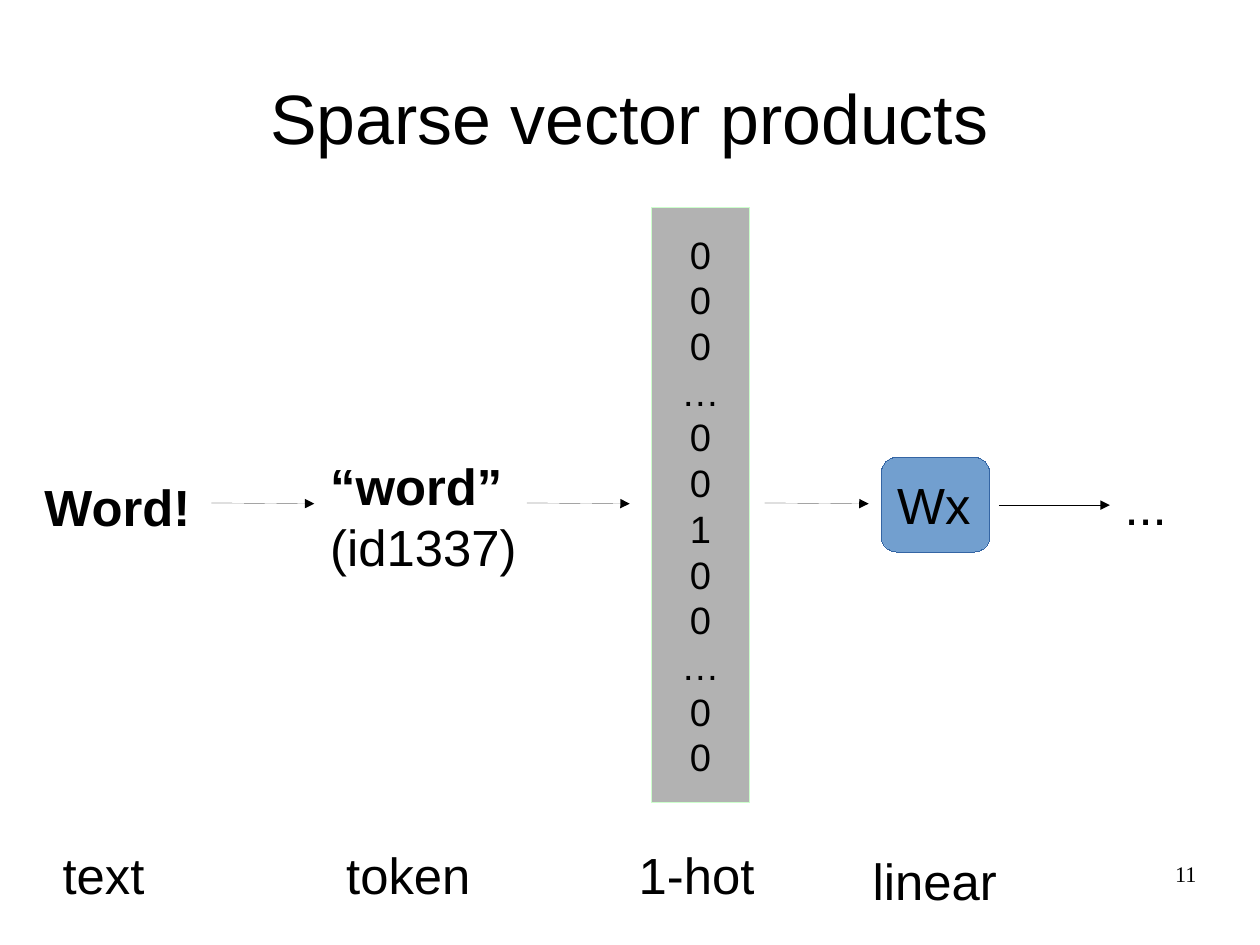
"""Build the slide on sparse vector products: text, token, 1-hot vector, linear layer."""
from dataclasses import dataclass

import pptx
import pptx.dml.color
import pptx.enum.shapes
import pptx.enum.text
import pptx.oxml
import pptx.oxml.ns
import pptx.util

Pt = pptx.util.Pt
ALIGN = pptx.enum.text.PP_ALIGN
ANCHOR = pptx.enum.text.MSO_ANCHOR
SHAPE = pptx.enum.shapes.MSO_SHAPE

SLIDE_SIZE = (793.7, 595.28)
TITLE = "Sparse vector products"
TITLE_PLACE = (39.6, 23.8, 714.2, 99.4)
STEPS = [
    ([("Word!", True)], (20.9, 295.9, 126, 43.2)),
    ([("“word”", True), ("(id1337)", False)], (200.9, 283, 153.4, 79.2)),
    ([("...", False)], (701.3, 295.2, 60.5, 43.2)),
]
ONE_HOT = "0 0 0 … 0 0 1 0 0 … 0 0".split()
ONE_HOT_PLACE = (410.4, 130.7, 61.6, 375.1)
LAYER = "Wx"
LAYER_PLACE = (555.1, 288, 68.4, 59.8)
CAPTIONS = [
    ("text", (32.4, 528.2, 95.8, 49.7), ALIGN.LEFT),
    ("token", (211, 528.2, 95.8, 49.7), ALIGN.LEFT),
    ("1-hot", (395.3, 528.2, 95.8, 49.7), ALIGN.LEFT),
    ("linear", (476.6, 531.4, 224.6, 49.7), ALIGN.CENTER),
]
ARROWS = [
    (133.2, 316.8, 198, 317.3),
    (331.9, 316.8, 396.7, 317.3),
    (481.7, 316.8, 547.2, 317.3),
    (629.3, 318.2, 699.1, 318.2),
]
PAGE_NUMBER = "11"
PAGE_NUMBER_PLACE = (568.8, 542.2, 185, 41)


@dataclass(frozen=True)
class Theme:
    """Colours, fonts, type sizes and line width of the slide."""
    ink: str = "000000"
    vector_fill: str = "B2B2B2"
    vector_line: str = "CCFFCC"
    layer_fill: str = "729FCF"
    layer_line: str = "3465A4"
    font: str = "Arial"
    number_font: str = "Times New Roman"
    title: int = 44
    body: int = 32
    vector: int = 24
    number: int = 14
    leading: float = 1.2
    hairline: float = 0.01


THEME = Theme()


def rgb(code):
    """Return a colour from its hex code."""
    return pptx.dml.color.RGBColor.from_string(code)


def write(frame, lines, size, align=ALIGN.LEFT, anchor=ANCHOR.TOP,
          font=THEME.font, insets=(7.2, 3.6), wrap=True):
    """Fill a text frame with (words, bold) lines, one paragraph each."""
    frame.word_wrap = wrap
    frame.vertical_anchor = anchor
    frame.margin_left = frame.margin_right = Pt(insets[0])
    frame.margin_top = frame.margin_bottom = Pt(insets[1])
    for index, (words, bold) in enumerate(lines):
        paragraph = frame.add_paragraph() if index else frame.paragraphs[0]
        paragraph.alignment = align
        paragraph.line_spacing = Pt(size * THEME.leading)
        paragraph.space_before = Pt(0)
        run = paragraph.add_run()
        run.text = words
        run.font.name = font
        run.font.size = Pt(size)
        run.font.bold = bold
        run.font.color.rgb = rgb(THEME.ink)


def add_text(slide, place, lines, size, **style):
    """Add a text box."""
    box = slide.shapes.add_textbox(*map(Pt, place))
    write(box.text_frame, lines, size, **style)


def add_block(slide, kind, place, fill, line, lines, size, align):
    """Add a filled shape with text in its middle."""
    block = slide.shapes.add_shape(kind, *map(Pt, place))
    block.shadow.inherit = False
    block.fill.solid()
    block.fill.fore_color.rgb = rgb(fill)
    block.line.color.rgb = rgb(line)
    block.line.width = Pt(THEME.hairline)
    write(block.text_frame, lines, size, align, ANCHOR.MIDDLE, wrap=False)


def add_arrow(slide, ends):
    """Add a hairline arrow."""
    arrow = slide.shapes.add_connector(
        pptx.enum.shapes.MSO_CONNECTOR.STRAIGHT, *map(Pt, ends))
    arrow.line.color.rgb = rgb(THEME.ink)
    arrow.line.width = Pt(THEME.hairline)
    outline = arrow.line._get_or_add_ln()
    head = pptx.oxml.parse_xml(
        f'<a:tailEnd {pptx.oxml.ns.nsdecls("a")} type="triangle"/>')
    outline.append(head)
    outline.addnext(pptx.oxml.parse_xml(
        f'<a:effectLst {pptx.oxml.ns.nsdecls("a")}/>'))


def main():
    """Compose and save the slide."""
    deck = pptx.Presentation()
    deck.slide_width, deck.slide_height = map(Pt, SLIDE_SIZE)
    slide = deck.slides.add_slide(deck.slide_layouts[5])

    title = slide.shapes.title
    title.left, title.top, title.width, title.height = map(Pt, TITLE_PLACE)
    write(title.text_frame, [(TITLE, False)], THEME.title,
          ALIGN.CENTER, ANCHOR.MIDDLE, insets=(0, 0))

    for lines, place in STEPS:
        add_text(slide, place, lines, THEME.body)
    add_block(slide, SHAPE.RECTANGLE, ONE_HOT_PLACE, THEME.vector_fill,
              THEME.vector_line, [(entry, False) for entry in ONE_HOT],
              THEME.vector, ALIGN.CENTER)
    add_block(slide, SHAPE.ROUNDED_RECTANGLE, LAYER_PLACE, THEME.layer_fill,
              THEME.layer_line, [(LAYER, False)], THEME.body, ALIGN.LEFT)
    for ends in ARROWS:
        add_arrow(slide, ends)
    for caption, place, align in CAPTIONS:
        add_text(slide, place, [(caption, False)], THEME.body, align=align)
    add_text(slide, PAGE_NUMBER_PLACE, [(PAGE_NUMBER, False)], THEME.number,
             align=ALIGN.RIGHT, font=THEME.number_font, insets=(0, 0))
    deck.save("out.pptx")


if __name__ == "__main__":
    main()
